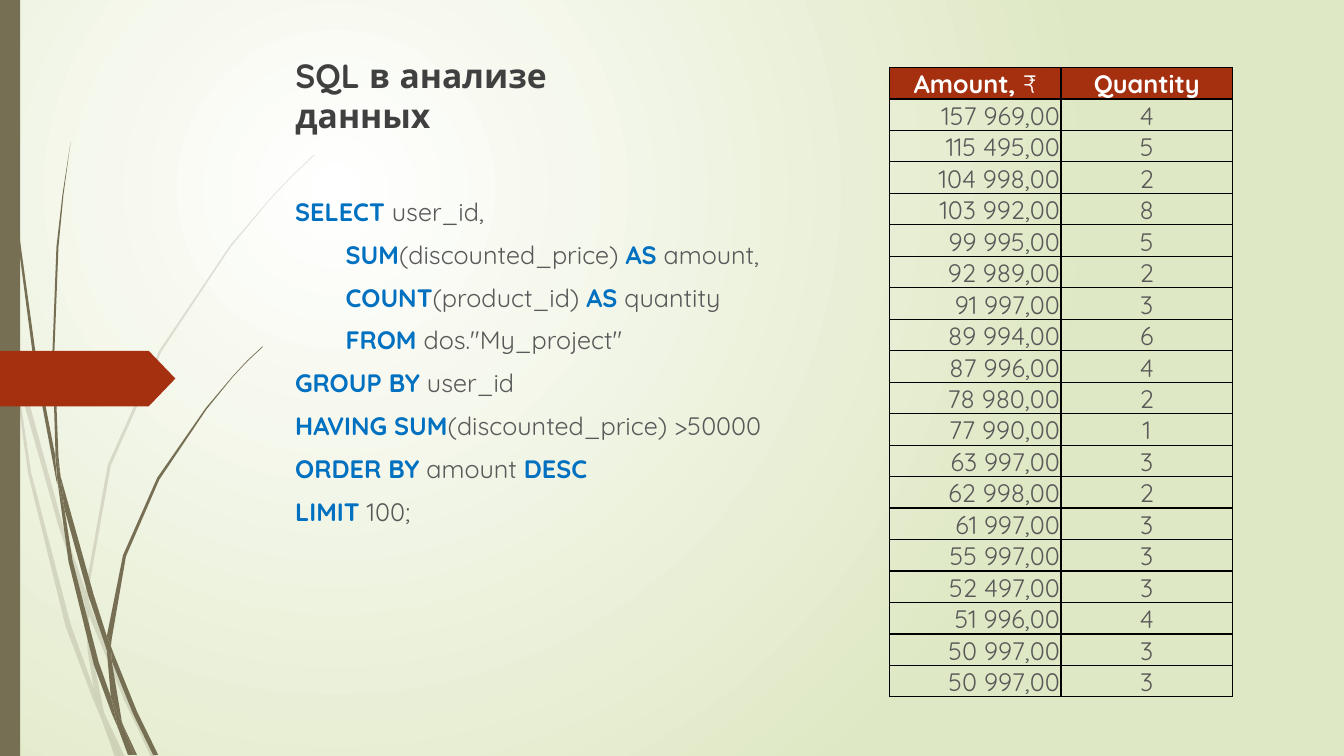
from itertools import cycle

from lxml.etree import SubElement
from pptx import Presentation
from pptx.dml.color import RGBColor
from pptx.enum.shapes import MSO_SHAPE
from pptx.enum.text import MSO_ANCHOR, MSO_AUTO_SIZE, PP_ALIGN
from pptx.oxml.ns import qn
from pptx.util import Cm, Pt

FONT = "Quicksand"
WHITE = RGBColor(0xFF, 0xFF, 0xFF)
BLACK = RGBColor(0x00, 0x00, 0x00)
PALE_GREEN = RGBColor(0xDF, 0xE8, 0xC4)
OLIVE = RGBColor(0x76, 0x6F, 0x54)
RUST = RGBColor(0xA5, 0x30, 0x10)
TITLE_GREY = RGBColor(0x40, 0x40, 0x40)
TEXT_GREY = RGBColor(0x59, 0x59, 0x59)
KEYWORD_BLUE = RGBColor(0x00, 0x70, 0xC0)

BLADE_UNIT = Cm(2.54) / 100
PALE_BLADES = [
    [(11, 350), (9, 322), (0, 282), (0, 299), (10, 344)],
    [(58, 522), (84, 599), (85, 586), (62, 520), (14, 345), (17, 376)],
    [(92, 607), (88, 596), (88, 610), (123, 694), (150, 751), (155, 751), (127, 692)],
    [(119, 751), (124, 751), (105, 711)],
    [(93, 683), (70, 619), (31, 469), (17, 376), (11, 350), (28, 470), (65, 621),
     (92, 693), (101, 714), (99, 707)],
    [(84, 599), (87, 646), (93, 683), (96, 692), (105, 711), (103, 706), (91, 646),
     (88, 610), (88, 608)],
    [(88, 584), (110, 462), (160, 349), (229, 245), (268, 198), (290, 175), (312, 154),
     (312, 153), (289, 175), (268, 197), (228, 244), (158, 348), (107, 461), (85, 584),
     (85, 586), (88, 596)],
    [(101, 714), (114, 751), (119, 751)],
    [(88, 608), (88, 610), (88, 596), (85, 586), (84, 599)],
    [(96, 692), (93, 683), (99, 707), (101, 714), (119, 751), (105, 711)],
]
DARK_BLADES = [
    [(7, 110), (17, 233), (33, 355), (56, 477), (57, 481), (55, 457), (55, 453),
     (36, 355), (19, 232), (8, 109), (5, 48), (4, 0), (3, 0), (4, 48)],
    [(88, 592), (106, 645), (106, 633), (106, 631), (93, 590), (60, 472), (64, 505)],
    [(113, 649), (110, 641), (111, 656), (132, 708), (152, 749), (157, 749), (136, 706)],
    [(110, 691), (98, 657), (72, 556), (64, 505), (57, 477), (68, 557), (93, 659),
     (111, 708), (117, 722), (116, 717)],
    [(60, 472), (58, 453), (54, 349), (58, 245), (63, 193), (70, 141), (62, 193),
     (56, 245), (52, 349), (55, 449)],
    [(133, 749), (136, 749), (122, 719)],
    [(57, 477), (64, 505), (60, 472), (55, 449), (55, 453)],
    [(111, 633), (125, 552), (158, 476), (205, 406), (231, 374), (245, 359), (261, 344),
     (260, 344), (245, 358), (231, 373), (204, 405), (156, 474), (122, 551), (106, 631),
     (110, 641)],
    [(117, 722), (127, 749), (131, 749)],
    [(106, 645), (110, 691), (116, 706), (122, 719), (121, 716), (111, 656), (109, 651)],
    [(106, 645), (109, 651), (111, 656), (110, 641), (106, 631), (106, 633)],
    [(116, 706), (110, 691), (116, 717), (117, 722), (130, 749), (133, 749), (122, 719)],
]

QUERY = [
    (0, ["SELECT ", "user_id,"]),
    (1.27, ["SUM", "(discounted_price) ", "AS", " amount,"]),
    (1.27, ["COUNT", "(product_id) ", "AS", " quantity"]),
    (1.27, ["FROM ", 'dos."My_project"']),
    (0, ["GROUP BY ", "user_id"]),
    (0, ["HAVING SUM", "(discounted_price) >50000"]),
    (0, ["ORDER BY ", "amount ", "DESC"]),
    (0, ["LIMIT ", "100;"]),
]
ORDERS = [
    ("157 969,00", "4"), ("115 495,00", "5"), ("104 998,00", "2"), ("103 992,00", "8"),
    ("99 995,00", "5"), ("92 989,00", "2"), ("91 997,00", "3"), ("89 994,00", "6"),
    ("87 996,00", "4"), ("78 980,00", "2"), ("77 990,00", "1"), ("63 997,00", "3"),
    ("62 998,00", "2"), ("61 997,00", "3"), ("55 997,00", "3"), ("52 497,00", "3"),
    ("51 996,00", "4"), ("50 997,00", "3"), ("50 997,00", "3"),
]


def write(paragraph, text, size=18, color=TEXT_GREY, bold=False, align=PP_ALIGN.LEFT):
    """Add a formatted run to a paragraph."""
    run = paragraph.add_run()
    run.text = text
    run.font.name = FONT
    run.font.size = Pt(size)
    run.font.bold = bold
    run.font.color.rgb = color
    paragraph.alignment = align


def paint(shape, color, opacity=100):
    """Give a shape a flat fill with no line or shadow."""
    shape.shadow.inherit = False
    shape.line.fill.background()
    shape.fill.solid()
    shape.fill.fore_color.rgb = color
    if opacity < 100:
        tone = shape.element.spPr.find(qn("a:solidFill")).find(qn("a:srgbClr"))
        SubElement(tone, qn("a:alpha"), val=str(opacity * 1000))


def add_background(slide):
    """Fill the slide with a glow that spreads from the upper left."""
    glow = slide.background.fill
    glow.gradient()
    for stop, color, position in zip(glow.gradient_stops, (WHITE, PALE_GREEN), (0, 1)):
        stop.color.rgb = color
        stop.position = position
    direction = next(slide.element.iter(qn("a:lin")))
    gradient = direction.getparent()
    gradient.remove(direction)
    circle = SubElement(gradient, qn("a:path"), path="circle")
    SubElement(circle, qn("a:fillToRect"), l="50000", t="50000", r="100000", b="100000")


def add_grass(slide, blades, opacity):
    """Draw a group of grass blades from their outlines."""
    grass = slide.shapes.add_group_shape()
    for start, *rest in blades:
        outline = grass.shapes.build_freeform(*start, scale=BLADE_UNIT)
        outline.add_line_segments(rest)
        paint(outline.convert_to_shape(), OLIVE, opacity)


def add_title(slide, text):
    """Place and fill the title placeholder."""
    title = slide.shapes.title
    title.left, title.top, title.width, title.height = Cm(7.19), Cm(1.7), Cm(10.03), Cm(1.4)
    frame = title.text_frame
    frame.word_wrap = True
    frame.auto_size = MSO_AUTO_SIZE.NONE
    frame.vertical_anchor = MSO_ANCHOR.MIDDLE
    write(frame.paragraphs[0], text, size=24, color=TITLE_GREY, bold=True)


def add_query(slide):
    """Write the query, with its keywords highlighted."""
    frame = slide.shapes.add_textbox(Cm(7.19), Cm(3.53), Cm(13.69), Cm(11.15)).text_frame
    frame.word_wrap = True
    frame.vertical_anchor = MSO_ANCHOR.MIDDLE
    for number, (indent, parts) in enumerate(QUERY):
        line = frame.add_paragraph() if number else frame.paragraphs[0]
        line.space_before = Pt(9 if number else 0)
        line._p.get_or_add_pPr().set("marL", str(Cm(indent)))
        for part, keyword in zip(parts, cycle((True, False))):
            write(line, part, color=KEYWORD_BLUE if keyword else TEXT_GREY, bold=keyword)


def format_cell(cell):
    """Set the borders, margins and anchor of a table cell."""
    cell.margin_left = cell.margin_right = cell.margin_top = Cm(0.03)
    cell.margin_bottom = Cm(0)
    cell.vertical_anchor = MSO_ANCHOR.BOTTOM
    for side in ("lnL", "lnR", "lnT", "lnB"):
        border = SubElement(cell._tc.get_or_add_tcPr(), qn(f"a:{side}"), w=str(Pt(1)))
        SubElement(SubElement(border, qn("a:solidFill")), qn("a:srgbClr"), val=str(BLACK))
    cell.fill.background()
    return cell.text_frame.paragraphs[0]


def add_orders(slide):
    """Build the table of amounts and quantities."""
    rows = len(ORDERS) + 1
    table = slide.shapes.add_table(
        rows, 2, Cm(22.42), Cm(1.7), Cm(8.64), Cm(0.78) * rows).table
    table.horz_banding = False
    for column, heading in enumerate(("Amount, ", "Quantity")):
        cell = table.cell(0, column)
        write(format_cell(cell), heading, color=WHITE, bold=True, align=PP_ALIGN.CENTER)
        cell.fill.solid()
        cell.fill.fore_color.rgb = RUST
    write(table.cell(0, 0).text_frame.paragraphs[0], "₹", color=WHITE, align=PP_ALIGN.CENTER)
    for row, order in enumerate(ORDERS, start=1):
        for column, align in enumerate((PP_ALIGN.RIGHT, PP_ALIGN.CENTER)):
            write(format_cell(table.cell(row, column)), order[column], align=align)


def main():
    """Build the slide and save it."""
    deck = Presentation()
    deck.slide_width, deck.slide_height = Cm(33.87), Cm(19.05)
    slide = deck.slides.add_slide(deck.slide_layouts[5])
    add_background(slide)
    add_grass(slide, PALE_BLADES, 20)
    add_grass(slide, DARK_BLADES, 100)
    edge = slide.shapes.add_shape(MSO_SHAPE.RECTANGLE, 0, 0, Cm(0.51), deck.slide_height)
    paint(edge, OLIVE)
    pointer = slide.shapes.add_shape(MSO_SHAPE.PENTAGON, 0, Cm(8.84), Cm(4.42), Cm(1.4))
    pointer.adjustments[0] = 0.48
    paint(pointer, RUST)
    add_title(slide, "SQL в анализе данных")
    add_query(slide)
    add_orders(slide)
    deck.save("out.pptx")


if __name__ == "__main__":
    main()
